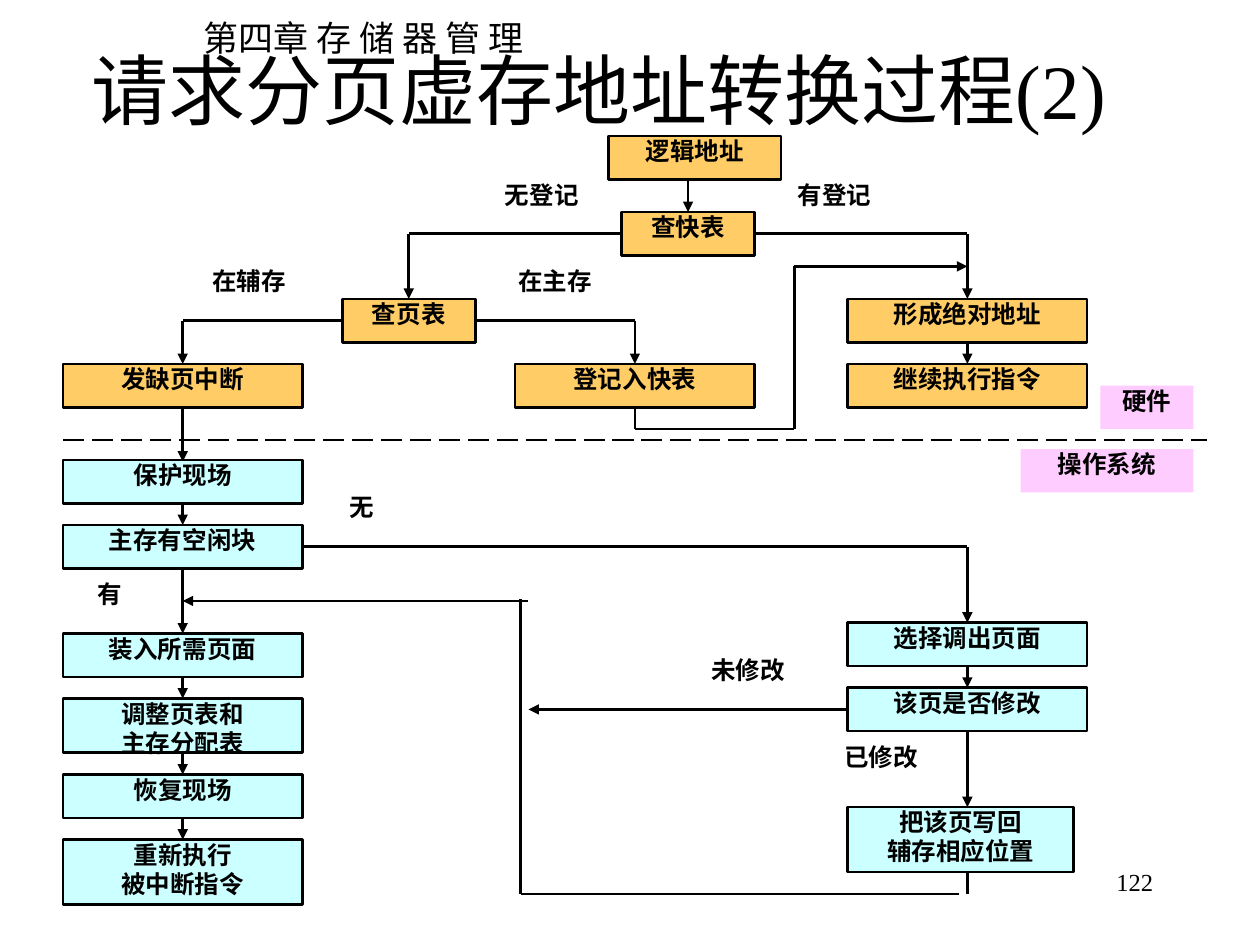
from lxml import etree
from pptx import Presentation
from pptx.dml.color import RGBColor
from pptx.enum.dml import MSO_LINE
from pptx.enum.shapes import MSO_CONNECTOR, MSO_SHAPE
from pptx.enum.text import MSO_ANCHOR, MSO_AUTO_SIZE, PP_ALIGN
from pptx.oxml.ns import qn
from pptx.util import Pt

RECT, LINE = MSO_SHAPE.RECTANGLE, MSO_CONNECTOR.STRAIGHT
CENTER, LEFT, RIGHT = PP_ALIGN.CENTER, PP_ALIGN.LEFT, PP_ALIGN.RIGHT
TOP, MIDDLE = MSO_ANCHOR.TOP, MSO_ANCHOR.MIDDLE
FIXED, DASH = MSO_AUTO_SIZE.NONE, MSO_LINE.LONG_DASH

SANS, SERIF = "Noto Sans CJK SC", "Times New Roman"
BLACK, GOLD, AQUA, PINK = "000000", "FFCC66", "CCFFFF", "FFCCFF"
COL, ROW = 7.6, 6.2  # grid steps of the chart, in points
NARROW, WIDE, HIGH, TALL = 10, 18, 4, 6  # node sizes in grid steps


def color(code):
    return RGBColor.from_string(code)


def write(shape, text, size, font, align, bold=False):
    frame = shape.text_frame
    frame.text = text
    for para in frame.paragraphs:
        para.alignment = align
        for run in para.runs:
            run.font.size = Pt(size)
            run.font.bold = bold
            run.font.name = font
            run.font.color.rgb = color(BLACK)
            latin = run._r.rPr.find(qn("a:latin"))
            east = etree.Element(qn("a:ea"), typeface=SANS)
            latin.addnext(east)


class Chart:
    """Draws on a grid that starts at the left and top of its box."""

    def __init__(self, slide, left, top):
        self.shapes = slide.shapes
        self.left, self.top = left, top

    def spot(self, x, y):
        return Pt(round(self.left + x * COL, 2)), Pt(round(self.top + y * ROW, 2))

    def fill_in(self, shape, text):
        frame = shape.text_frame
        frame.margin_left = frame.margin_right = 0
        frame.margin_top = frame.margin_bottom = 0
        frame.word_wrap = True
        frame.vertical_anchor = TOP
        write(shape, text, 14, SANS, CENTER, True)

    def node(self, text, x, y, wide, high, fill, edge=True):
        size = Pt(round(wide * COL, 2)), Pt(round(high * ROW, 2))
        shape = self.shapes.add_shape(RECT, *self.spot(x, y), *size)
        shape.shadow.inherit = False
        shape.fill.solid()
        shape.fill.fore_color.rgb = color(fill)
        if edge:
            shape.line.color.rgb = color(BLACK)
            shape.line.width = Pt(1.5)
        else:
            shape.line.fill.background()
        self.fill_in(shape, text)

    def label(self, text, x, y, wide):
        size = Pt(round(wide * COL, 2)), Pt(round(HIGH * ROW, 2))
        self.fill_in(self.shapes.add_textbox(*self.spot(x, y), *size), text)

    def route(self, *spots, arrow=True, dash=None):
        """Joins the spots with lines; the last one may carry an arrowhead."""
        for start, end in zip(spots, spots[1:]):
            line = self.shapes.add_connector(LINE, *self.spot(*start), *self.spot(*end))
            line.line.color.rgb = color(BLACK)
            line.line.width = Pt(1.5)
            if dash:
                line.line.dash_style = dash
            props = line._element.spPr
            etree.SubElement(props, qn("a:effectLst"))
        if arrow:
            etree.SubElement(props.find(qn("a:ln")), qn("a:tailEnd"), type="triangle")


def heading(slide, left, top, width, height):
    title = slide.shapes.title
    title.left, title.top = Pt(left), Pt(top)
    title.width, title.height = Pt(width), Pt(height)
    title.text_frame.auto_size = FIXED
    title.text_frame.vertical_anchor = MIDDLE
    write(title, "请求分页虚存地址转换过程(2)", 44, SERIF, CENTER)


def note(slide, text, box, size, font, align, wrap):
    shape = slide.shapes.add_textbox(*(Pt(n) for n in box))
    shape.text_frame.word_wrap = wrap
    write(shape, text, size, font, align)


def hardware(slide, left, top):
    chart = Chart(slide, left, top)
    # Steps
    for text, x, y, wide in (
        ("逻辑地址", 41, 0, 13),
        ("查快表", 42, 7, NARROW),
        ("查页表", 21, 15, NARROW),
        ("形成绝对地址", 59, 15, WIDE),
        ("发缺页中断", 0, 21, WIDE),
        ("登记入快表", 34, 21, WIDE),
        ("继续执行指令", 59, 21, WIDE),
    ):
        chart.node(text, x, y, wide, HIGH, GOLD)
    # Branch labels
    for text, x, y in (
        ("无登记", 31, 4), ("有登记", 53, 4), ("在辅存", 9, 12), ("在主存", 32, 12),
    ):
        chart.label(text, x, y, NARROW)
    # Flow
    chart.route((47, 4), (47, 7))
    chart.route((52, 9), (68, 9), (68, 15))
    chart.route((42, 9), (26, 9), (26, 15))
    chart.route((31, 17), (43, 17), (43, 21))
    chart.route((21, 17), (9, 17), (9, 21))
    chart.route((43, 25), (43, 27), (55, 27), (55, 12), (68, 12))
    chart.route((68, 19), (68, 21))
    chart.route((9, 25), (9, 30))
    # Border with the system below
    chart.route((0, 28), (86, 28), arrow=False, dash=DASH)
    chart.node("硬件", 78, 23, 7, HIGH, PINK, edge=False)


def system(slide, left, top):
    chart = Chart(slide, left, top)
    # Left column, each step joined to the next
    steps = (
        ("保护现场", 0, HIGH),
        ("主存有空闲块", 6, HIGH),
        ("装入所需页面", 16, HIGH),
        ("调整页表和\n主存分配表", 22, 5),
        ("恢复现场", 29, HIGH),
        ("重新执行\n被中断指令", 35, TALL),
    )
    for text, y, high in steps:
        chart.node(text, 0, y, WIDE, high, AQUA)
    for (_, y, high), (_, below, _) in zip(steps, steps[1:]):
        chart.route((9, y + high), (9, below))
    # Right column
    chart.node("选择调出页面", 59, 15, WIDE, HIGH, AQUA)
    chart.node("该页是否修改", 59, 21, WIDE, HIGH, AQUA)
    chart.node("把该页写回\n辅存相应位置", 59, 32, 17, TALL, AQUA)
    chart.route((18, 8), (68, 8), (68, 15))
    chart.route((68, 19), (68, 21))
    chart.route((68, 25), (68, 32))
    # Way back to loading the page
    chart.route((68, 38), (68, 40), arrow=False)
    chart.route((67.4, 40), (34.4, 40), (34.4, 12.8), arrow=False)
    chart.route((35, 13), (9, 13))
    chart.route((59, 23), (35, 23))
    # Branch labels
    for text, x, y, wide in (
        ("无", 20, 3, 5), ("有", 1, 11, 5), ("未修改", 47, 18, 9), ("已修改", 57, 26, 9),
    ):
        chart.label(text, x, y, wide)
    chart.node("操作系统", 72, -1, 13, HIGH, PINK, edge=False)


def main():
    deck = Presentation()
    deck.slide_width, deck.slide_height = Pt(720), Pt(540)
    slide = deck.slides.add_slide(deck.slide_layouts[5])
    note(slide, "第四章 存 储 器 管 理", (109.4, 5.8, 201.6, 31.7), 20, SANS, LEFT, False)
    note(slide, "122", (516.2, 491.8, 149.8, 36), 14, SERIF, RIGHT, True)
    heading(slide, 36, 23.8, 612, 54)
    hardware(slide, 36, 77.8)
    system(slide, 36, 262.8)
    deck.save("out.pptx")


if __name__ == "__main__":
    main()
